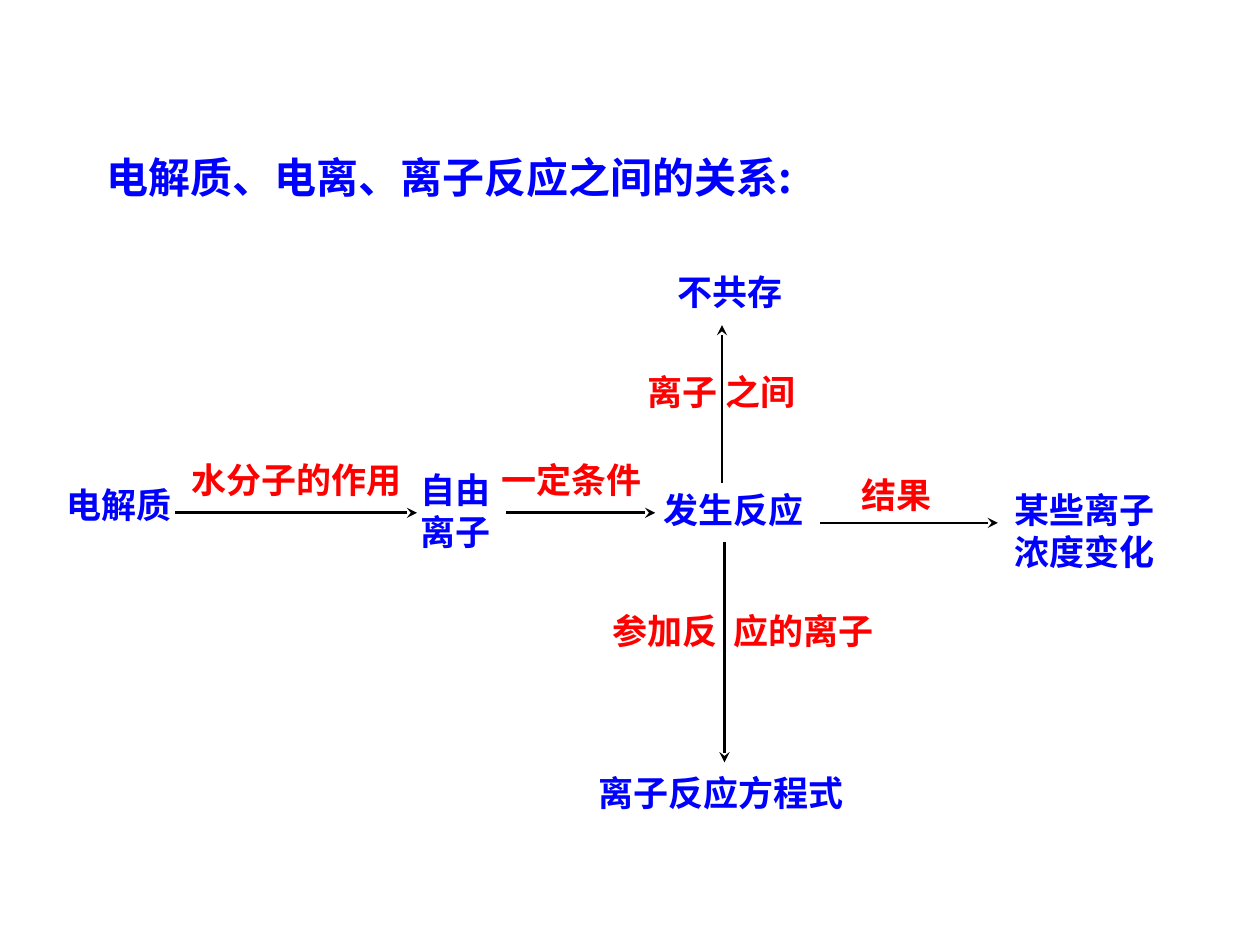
"""Build a slide relating electrolytes, ionisation and ionic reactions."""
from lxml import etree
from pptx import Presentation
from pptx.dml.color import RGBColor
from pptx.enum.shapes import MSO_CONNECTOR
from pptx.enum.text import MSO_AUTO_SIZE, PP_ALIGN
from pptx.oxml.ns import qn
from pptx.util import Inches, Pt

STRAIGHT = MSO_CONNECTOR.STRAIGHT
GROW = MSO_AUTO_SIZE.SHAPE_TO_FIT_TEXT
LEFT, CENTER = PP_ALIGN.LEFT, PP_ALIGN.CENTER
COLORS = {"concept": "0000FF", "condition": "FF0000", "arrow": "000000"}
CHINESE, LATIN = "Noto Sans CJK SC", "Times New Roman"

presentation = Presentation()
presentation.slide_width = Inches(10)
presentation.slide_height = Inches(7.5)
COLUMN = presentation.slide_width / 100
ROW = presentation.slide_height / 75
LINE, TWO_LINES = 4.4, 7.7
slide = presentation.slides.add_slide(presentation.slide_layouts[6])


def add_label(text, left, top, width, height, color, align=LEFT, size=20, font_name=LATIN):
    box = slide.shapes.add_textbox(
        round(left * COLUMN), round(top * ROW), round(width * COLUMN), round(height * ROW)
    )
    frame = box.text_frame
    frame.word_wrap = True
    frame.auto_size = GROW
    paragraph = frame.paragraphs[0]
    paragraph.alignment = align
    run = paragraph.add_run()
    run.text = text
    run.font.name = font_name
    run.font.size = Pt(size)
    run.font.bold = True
    run.font.color.rgb = RGBColor.from_string(COLORS[color])
    etree.SubElement(run.font._element, qn("a:ea"), typeface=CHINESE)


def add_arrow(start_x, start_y, end_x, end_y):
    arrow = slide.shapes.add_connector(
        STRAIGHT,
        round(start_x * COLUMN), round(start_y * ROW),
        round(end_x * COLUMN), round(end_y * ROW),
    )
    arrow.line.width = Pt(1.5)
    arrow.line.color.rgb = RGBColor.from_string(COLORS["arrow"])
    etree.SubElement(arrow.line._get_or_add_ln(), qn("a:tailEnd"), type="stealth")
    etree.SubElement(arrow._element.spPr, qn("a:effectLst"))


add_label("电解质、电离、离子反应之间的关系:", 7.5, 11.5, 75.1, 5, "concept",
          size=24, font_name=CHINESE)

concepts = [
    ("电解质", 4.3, 37.9, 14.8, LINE, LEFT),
    ("自由离子", 32.4, 36.7, 8.5, TWO_LINES, LEFT),
    ("发生反应", 51.7, 38.3, 15.7, LINE, LEFT),
    ("不共存", 50.1, 21, 15.7, LINE, CENTER),
    ("离子反应方程式", 46.5, 60.7, 25.2, LINE, LEFT),
    ("某些离子浓度变化", 79.5, 38.3, 14.6, TWO_LINES, LEFT),
]
for text, left, top, width, height, align in concepts:
    add_label(text, left, top, width, height, "concept", align)

arrows = [
    (13.9, 40.7, 33.1, 40.7),
    (40.2, 40.7, 52, 40.7),
    (57.3, 38.3, 57.3, 25.8),
    (57.5, 43, 57.5, 60.5),
    (65.1, 41.5, 79.2, 41.5),
]
for ends in arrows:
    add_arrow(*ends)

conditions = [
    ("水分子的作用", 14.2, 35.9, 20.5),
    ("一定条件", 38.8, 35.9, 14.8),
    ("离子 之间", 50.4, 28.9, 15),
    ("参加反  应的离子", 47.6, 47.9, 26.8),
    ("结果", 67.4, 37.1, 10.2),
]
for text, left, top, width in conditions:
    add_label(text, left, top, width, LINE, "condition")

presentation.save("out.pptx")
